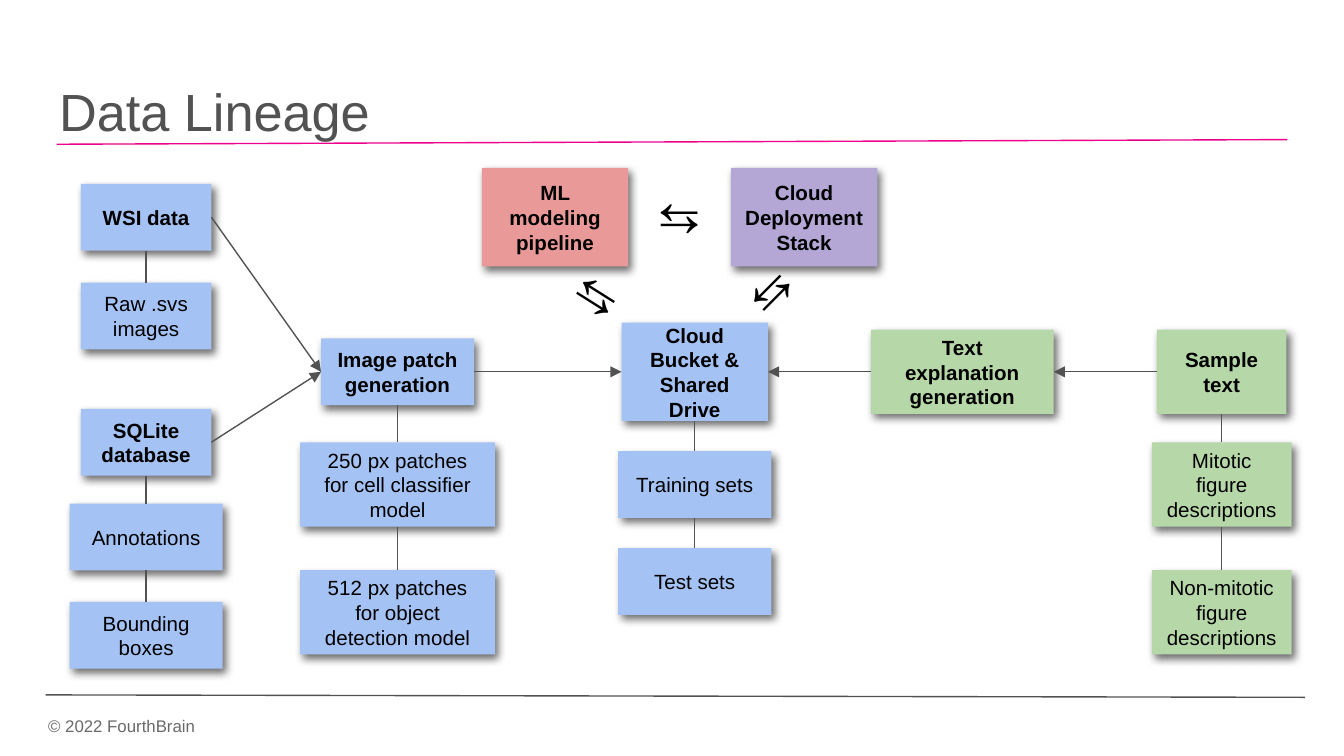
from dataclasses import dataclass

from lxml import etree
from pptx import Presentation
from pptx import util as u
from pptx.dml.color import RGBColor
from pptx.enum import shapes, text
from pptx.oxml import parse_xml
from pptx.oxml.ns import nsdecls, qn

Pt = u.Pt
TOP, LEFT, BOTTOM, RIGHT = range(4)


@dataclass(frozen=True)
class Theme:
    font: str = "Arial"
    ink: str = "000000"
    grey: str = "525252"
    muted: str = "696969"
    accent: str = "EC008C"
    data: str = "A4C2F4"
    sample: str = "B6D7A8"
    model: str = "EA9999"
    deploy: str = "B4A7D6"
    title_size: float = 28
    glyph_size: float = 26
    body_size: float = 11
    footer_size: float = 9
    line_width: float = 0.75
    inset: float = 7.2


def assign(target, values):
    for name, value in values.items():
        setattr(target, name, value)


class LineageSlide:
    def __init__(self, deck, theme):
        self.theme = theme
        self.slide = deck.slides.add_slide(deck.slide_layouts[5])

    def fill_text(self, holder, words, size, color, bold=False, **frame_format):
        frame = holder.text_frame
        inset = Pt(self.theme.inset)
        assign(frame, {"word_wrap": True, "auto_size": text.MSO_AUTO_SIZE.NONE,
                       "margin_left": inset, "margin_right": inset,
                       "margin_top": inset, "margin_bottom": inset,
                       "vertical_anchor": text.MSO_ANCHOR.TOP, **frame_format})
        frame.text = words
        paragraph = frame.paragraphs[0]
        paragraph.alignment = text.PP_ALIGN.LEFT
        assign(paragraph.font, {"name": self.theme.font, "size": Pt(size), "bold": bold})
        paragraph.font.color.rgb = RGBColor.from_string(color)
        return paragraph

    def title(self, words, left, top, width, height):
        heading = self.slide.shapes.title
        assign(heading, {"left": Pt(left), "top": Pt(top),
                         "width": Pt(width), "height": Pt(height)})
        self.fill_text(heading, words, self.theme.title_size, self.theme.grey,
                       vertical_anchor=text.MSO_ANCHOR.BOTTOM, margin_bottom=Pt(4.5))

    def label(self, words, left, top, width, height, size, color, rotation=0):
        holder = self.slide.shapes.add_textbox(Pt(left), Pt(top), Pt(width), Pt(height))
        holder.rotation = rotation
        self.fill_text(holder, words, size, color)

    def box(self, words, center, top, width, height, fill, bold=False):
        node = self.slide.shapes.add_shape(
            shapes.MSO_SHAPE.RECTANGLE, Pt(center - width / 2), Pt(top), Pt(width), Pt(height))
        node.fill.solid()
        node.fill.fore_color.rgb = RGBColor.from_string(fill)
        node.line.fill.background()
        # Soft drop shadow: 4.5 pt blur, 3 pt away, 53 degrees
        node._element.spPr.append(parse_xml(
            f'<a:effectLst {nsdecls("a")}><a:outerShdw blurRad="57150" dist="38100" '
            'dir="3180000" algn="bl" rotWithShape="0"><a:srgbClr val="000000">'
            '<a:alpha val="56000"/></a:srgbClr></a:outerShdw></a:effectLst>'))
        caption = self.fill_text(node, words, self.theme.body_size, self.theme.ink, bold,
                                 vertical_anchor=text.MSO_ANCHOR.MIDDLE)
        caption.alignment = text.PP_ALIGN.CENTER
        return node

    def rule(self, x1, y1, x2, y2, color):
        rule = self.slide.shapes.add_connector(
            shapes.MSO_CONNECTOR.STRAIGHT, Pt(x1), Pt(y1), Pt(x2), Pt(y2))
        rule.line.color.rgb = RGBColor.from_string(color)
        rule.line.width = Pt(self.theme.line_width)
        etree.SubElement(rule._element.spPr, qn("a:effectLst"))
        return rule

    def link(self, source, source_side, target, target_side, arrow=False):
        link = self.rule(0, 0, 0, 0, self.theme.grey)
        link.begin_connect(source, source_side)
        link.end_connect(target, target_side)
        if arrow:
            outline = link._element.spPr.find(qn("a:ln"))
            etree.SubElement(outline, qn("a:tailEnd"), type="triangle")

    def chain(self, *nodes):
        for upper, lower in zip(nodes, nodes[1:]):
            self.link(upper, BOTTOM, lower, TOP)


def main():
    deck = Presentation()
    assign(deck, {"slide_width": Pt(720), "slide_height": Pt(405)})
    theme = Theme()
    page = LineageSlide(deck, theme)

    # Heading and footer
    page.rule(24.5, 372.3, 699.2, 373.6, theme.grey)
    page.label("© 2022 FourthBrain", 18.7, 376.5, 154, 22.5, theme.footer_size, theme.muted)
    page.title("Data Lineage", 24.5, 35.4, 671, 45.4)
    page.rule(30.3, 77.3, 689.7, 74.8, theme.accent)

    # Column centres, the middle of the main flow, and box heights
    source_x, patch_x, storage_x, text_x, sample_x = 78.3, 213, 372.2, 515.5, 654.5
    flow_y = 199.2
    low, mid, tall = 35.8, 45.2, 52.7

    def on_flow(words, center, width, height, fill):
        return page.box(words, center, flow_y - height / 2, width, height, fill, True)

    # Source data
    wsi = page.box("WSI data", source_x, 98.5, 70, low, theme.data, True)
    raw = page.box("Raw .svs images", source_x, 151.4, 70, low, theme.data)
    database = page.box("SQLite database", source_x, 219, 70, low, theme.data, True)
    annotations = page.box("Annotations", source_x, 269.8, 82, low, theme.data)
    bounding = page.box("Bounding boxes", source_x, 322.4, 82, low, theme.data)

    # Image patches
    patches = on_flow("Image patch generation", patch_x, 82, low, theme.data)
    classifier, detector = [
        page.box(words, patch_x, top, 104.5, mid, theme.data) for words, top in (
            ("250 px patches for cell classifier model", 237),
            ("512 px patches for object detection model", 305.4))]

    # Storage
    storage = on_flow("Cloud Bucket & Shared Drive", storage_x, 78.4, tall, theme.data)
    training, test = [
        page.box(words, storage_x, top, 82, low, theme.data) for words, top in (
            ("Training sets", 241.7), ("Test sets", 293.6))]

    # Text explanations
    explanation = on_flow("Text explanation generation", text_x, 98, mid, theme.sample)
    sample = on_flow("Sample text", sample_x, 69.4, mid, theme.sample)
    mitotic, non_mitotic = [
        page.box(words, sample_x, top, 74.8, mid, theme.sample) for words, top in (
            ("Mitotic figure descriptions", 237),
            ("Non-mitotic figure descriptions", 305.4))]

    # Modeling and deployment
    page.box("ML modeling pipeline", 297.4, 90, 78.4, tall, theme.model, True)
    page.box("Cloud Deployment Stack", 430.8, 90, 78.4, tall, theme.deploy, True)

    # Links down each column
    for column in ((wsi, raw), (database, annotations, bounding),
                   (patches, classifier, detector), (storage, training, test),
                   (sample, mitotic, non_mitotic)):
        page.chain(*column)

    # Flow into storage from both sides
    for source, target in ((wsi, patches), (database, patches), (patches, storage)):
        page.link(source, RIGHT, target, LEFT, arrow=True)
    for source, target in ((explanation, storage), (sample, explanation)):
        page.link(source, LEFT, target, RIGHT, arrow=True)

    # Two-way exchange between storage, modeling and deployment
    for left, top, rotation in ((300.2, 134.6, 32.3), (393.8, 134.6, 314.9), (344.2, 93.6, 0)):
        page.label("⇆", left, top, 36.5, 46, theme.glyph_size, theme.ink, rotation)

    deck.save("out.pptx")


if __name__ == "__main__":
    main()
